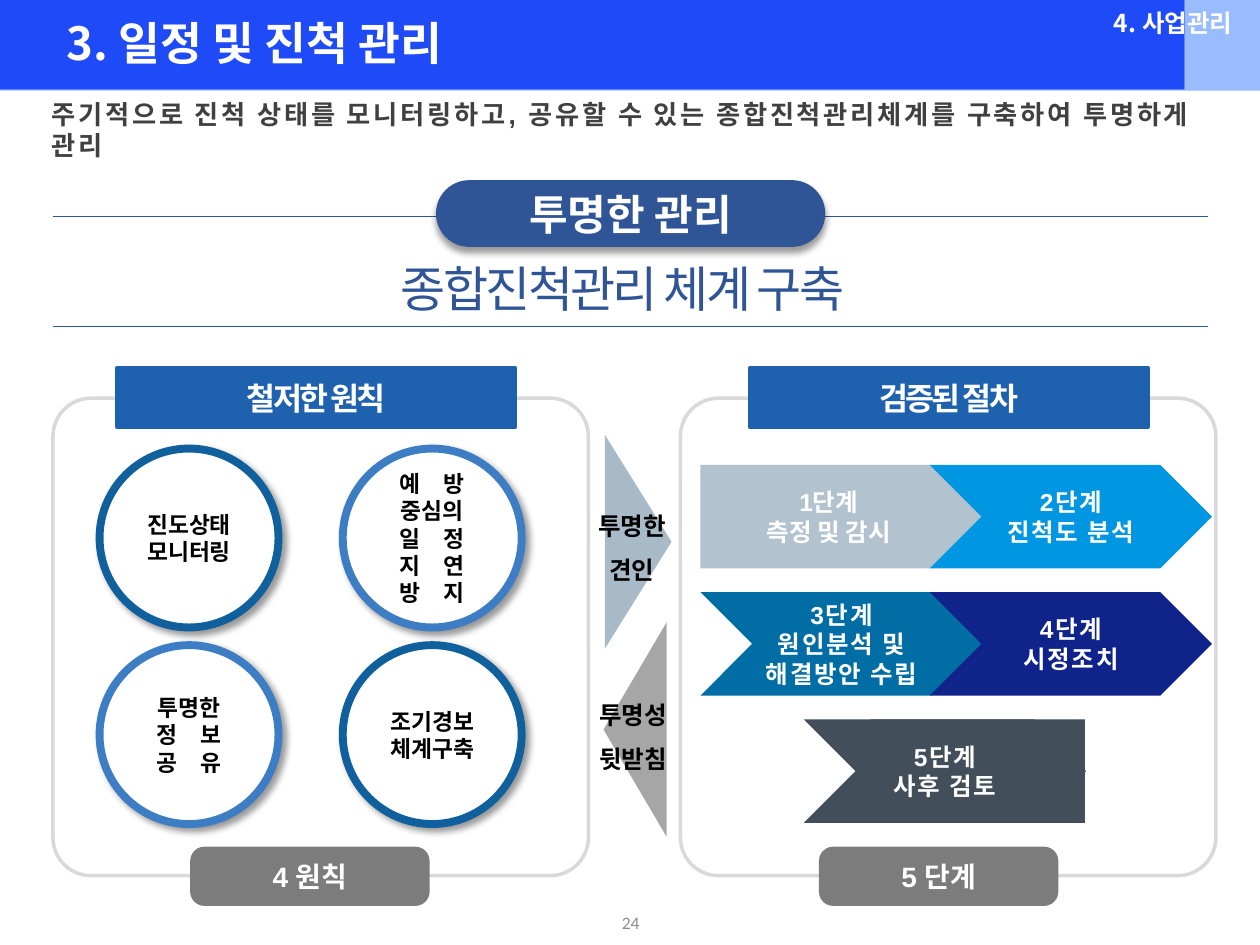
"""Build the schedule and progress management slide."""
from lxml import etree
from pptx import Presentation
from pptx.dml.color import RGBColor
from pptx.enum.shapes import MSO_CONNECTOR, MSO_SHAPE as Preset
from pptx.enum.text import MSO_ANCHOR as Anchor, PP_ALIGN as Align
from pptx.oxml.ns import qn
from pptx.util import Inches, Pt

WHITE = RGBColor(0xFF, 0xFF, 0xFF)
BLACK = RGBColor(0x00, 0x00, 0x00)
TEXT_GRAY = RGBColor(0x40, 0x40, 0x40)
PAGE_GRAY = RGBColor(0x8C, 0x8C, 0x8C)
FRAME_GRAY = RGBColor(0xD9, 0xD9, 0xD9)
LABEL_GRAY = RGBColor(0x7C, 0x7C, 0x7C)
BAND_BLUE = RGBColor(0x34, 0x44, 0xF2)
VEIL_BLUE = RGBColor(0x00, 0x55, 0xFF)
NAVY = RGBColor(0x2F, 0x55, 0x97)
HEADING_BLUE = RGBColor(0x1E, 0x61, 0xAF)
RING_LIGHT = RGBColor(0x3D, 0x7D, 0xC4)
RING_DARK = RGBColor(0x0F, 0x60, 0x9D)
STEP_GRAY = RGBColor(0xB3, 0xC2, 0xCF)
STEP_SKY = RGBColor(0x00, 0x96, 0xE1)
STEP_TEAL = RGBColor(0x00, 0x6D, 0xA4)
STEP_NAVY = RGBColor(0x10, 0x23, 0x8A)
STEP_SLATE = RGBColor(0x42, 0x4E, 0x59)
ARROW_BLUE = RGBColor(0xA8, 0xB9, 0xC8)
ARROW_GRAY = RGBColor(0xA6, 0xA6, 0xA6)
KOREAN_FONT = "Noto Sans CJK KR"

presentation = Presentation()
presentation.slide_width = Inches(10)
presentation.slide_height = Inches(7.5)
slide = presentation.slides.add_slide(presentation.slide_layouts[6])


def add_box(preset, at, fill=None, line=None, width=1, adjust=(), opacity=None, shadow=None):
    box = slide.shapes.add_shape(preset, *map(Inches, at))
    box.shadow.inherit = False
    for index, value in enumerate(adjust):
        box.adjustments[index] = value
    if fill is None:
        box.fill.background()
    else:
        box.fill.solid()
        box.fill.fore_color.rgb = fill
    if line is None:
        box.line.fill.background()
    else:
        box.line.color.rgb = line
        box.line.width = Pt(width)
    properties = box._element.spPr
    if opacity is not None:
        color = properties.find(qn("a:solidFill"))[0]
        etree.SubElement(color, qn("a:alpha"), val=str(opacity * 1000))
    if shadow is not None:
        effects = properties.find(qn("a:effectLst"))
        outer = etree.SubElement(effects, qn("a:outerShdw"), blurRad=str(Pt(4)),
                                 dist=str(Pt(3)), dir=str(shadow * 60000), rotWithShape="0")
        color = etree.SubElement(outer, qn("a:srgbClr"), val=str(BLACK))
        etree.SubElement(color, qn("a:alpha"), val="40000")
    return box


def write(shape, text, size, color=WHITE, font="Arial", bold=True, align=Align.CENTER,
          anchor=Anchor.MIDDLE, spacing=0, wrap=True, insets=(0.1, 0.05), line_spacing=None):
    frame = shape.text_frame
    frame.text = text
    frame.word_wrap = wrap
    frame.vertical_anchor = anchor
    frame.margin_left = frame.margin_right = Inches(insets[0])
    frame.margin_top = frame.margin_bottom = Inches(insets[1])
    for paragraph in frame.paragraphs:
        paragraph.alignment = align
        paragraph.line_spacing = line_spacing
        for run in paragraph.runs:
            run.font.name = font
            run.font.size = Pt(size)
            run.font.bold = bold
            run.font.color.rgb = color
            properties = run._r.get_or_add_rPr()
            properties.set("spc", str(int(spacing * 100)))
            etree.SubElement(properties, qn("a:ea"), typeface=KOREAN_FONT)


add_box(Preset.RECTANGLE, (0, 0, 10, 0.72), VEIL_BLUE, opacity=40)
add_box(Preset.RECTANGLE, (0, 0, 9.4, 0.71), BAND_BLUE)
add_box(Preset.RECTANGLE, (0, 0, 9.4, 0.71), VEIL_BLUE, opacity=40)

title = slide.shapes.add_textbox(Inches(0.43), Inches(0.07), Inches(8.68), Inches(0.54))
write(title, "3. 일정 및 진척 관리", 26, font=KOREAN_FONT, align=Align.LEFT, anchor=Anchor.TOP)
summary = slide.shapes.add_textbox(Inches(0.41), Inches(0.77), Inches(9.28), Inches(0.52))
write(summary, "주기적으로 진척 상태를 모니터링하고, 공유할 수 있는 종합진척관리체계를 구축하여 투명하게 관리",
      15, TEXT_GRAY, align=Align.LEFT, anchor=Anchor.TOP, spacing=1.6, insets=(0, 0.01))
page_number = slide.shapes.add_textbox(Inches(3.88), Inches(7.18), Inches(2.25), Inches(0.28))
write(page_number, "24", 10, PAGE_GRAY, "Calibri", bold=False)

for top in (1.72, 2.59):
    rule = slide.shapes.add_connector(MSO_CONNECTOR.STRAIGHT, Inches(9.59), Inches(top),
                                      Inches(0.42), Inches(top))
    rule.line.color.rgb = NAVY
    rule.line.width = Pt(0.75)
    etree.SubElement(rule._element.spPr, qn("a:effectLst"))

subtitle = slide.shapes.add_textbox(Inches(1.67), Inches(2), Inches(6.54), Inches(0.57))
write(subtitle, "종합진척관리 체계 구축", 28, NAVY, bold=False, anchor=Anchor.TOP, spacing=-1.5)
pill = add_box(Preset.ROUNDED_RECTANGLE, (3.46, 1.43, 3.09, 0.53), NAVY, adjust=[0.5], shadow=90)
write(pill, "투명한 관리", 24)

for left in (0.42, 5.4):
    add_box(Preset.ROUNDED_RECTANGLE, (left, 3.16, 4.25, 3.79), line=FRAME_GRAY, width=2,
            adjust=[0.08])
for left, text in ((0.93, "철저한 원칙"), (5.95, "검증된 절차")):
    heading = add_box(Preset.RECTANGLE, (left, 2.92, 3.16, 0.47), HEADING_BLUE, HEADING_BLUE, 2.25)
    write(heading, text, 18, spacing=-1.5)

principles = [
    (0.79, 5.12, RING_LIGHT, "투명한\n정　보\n공　유"),
    (0.79, 3.56, RING_DARK, "진도상태\n모니터링"),
    (2.72, 5.12, RING_DARK, "조기경보 체계구축"),
    (2.72, 3.56, RING_LIGHT, "예　방\n중심의\n일　정\n지　연\n방　지"),
]
for left, top, ring, text in principles:
    circle = add_box(Preset.OVAL, (left, top, 1.42, 1.42), WHITE, ring, 4.5, shadow=45)
    write(circle, text, 13, BLACK, "Calibri", insets=(0.08, 0.08))

add_box(Preset.CHEVRON, (6.91, 5.71, 1.7, 0.82), STEP_SLATE, adjust=[0])
steps = [
    (Preset.PENTAGON, 5.56, 3.69, STEP_GRAY, 0, "1단계\n측정 및 감시"),
    (Preset.CHEVRON, 7.38, 3.69, STEP_SKY, 1, "2단계\n진척도 분석"),
    (Preset.CHEVRON, 5.56, 4.7, STEP_TEAL, 1, "3단계\n원인분석 및\n해결방안 수립"),
    (Preset.CHEVRON, 7.38, 4.7, STEP_NAVY, 1, "4단계\n시정조치"),
    (Preset.CHEVRON, 6.38, 5.71, STEP_SLATE, 1, "5단계\n사후 검토"),
]
for preset, left, top, fill, spacing, text in steps:
    step = add_box(preset, (left, top, 2.24, 0.82), fill, adjust=[0.5])
    write(step, text, 14, spacing=spacing, wrap=False)

for left, text in ((1.51, "4 원칙"), (6.5, "5 단계")):
    label = add_box(Preset.ROUNDED_RECTANGLE, (left, 6.72, 1.9, 0.47), LABEL_GRAY, adjust=[0.24])
    write(label, text, 16)

add_box(Preset.RIGHT_ARROW, (4.8, 3.45, 0.53, 1.7), ARROW_BLUE, adjust=[0.75, 1])
add_box(Preset.LEFT_ARROW, (4.79, 4.94, 0.5, 1.7), ARROW_GRAY, adjust=[0.75, 1])
for left, top, text in ((4.62, 3.89, "투명한\n견인"), (4.63, 5.39, "투명성\n뒷받침")):
    caption = slide.shapes.add_textbox(Inches(left), Inches(top), Inches(0.79), Inches(0.81))
    write(caption, text, 14, BLACK, anchor=Anchor.TOP, wrap=False, line_spacing=1.5)

section = slide.shapes.add_textbox(Inches(7.52), Inches(0.06), Inches(2.36), Inches(0.24))
write(section, "4. 사업관리", 14, font=KOREAN_FONT, align=Align.RIGHT)

presentation.save("out.pptx")
